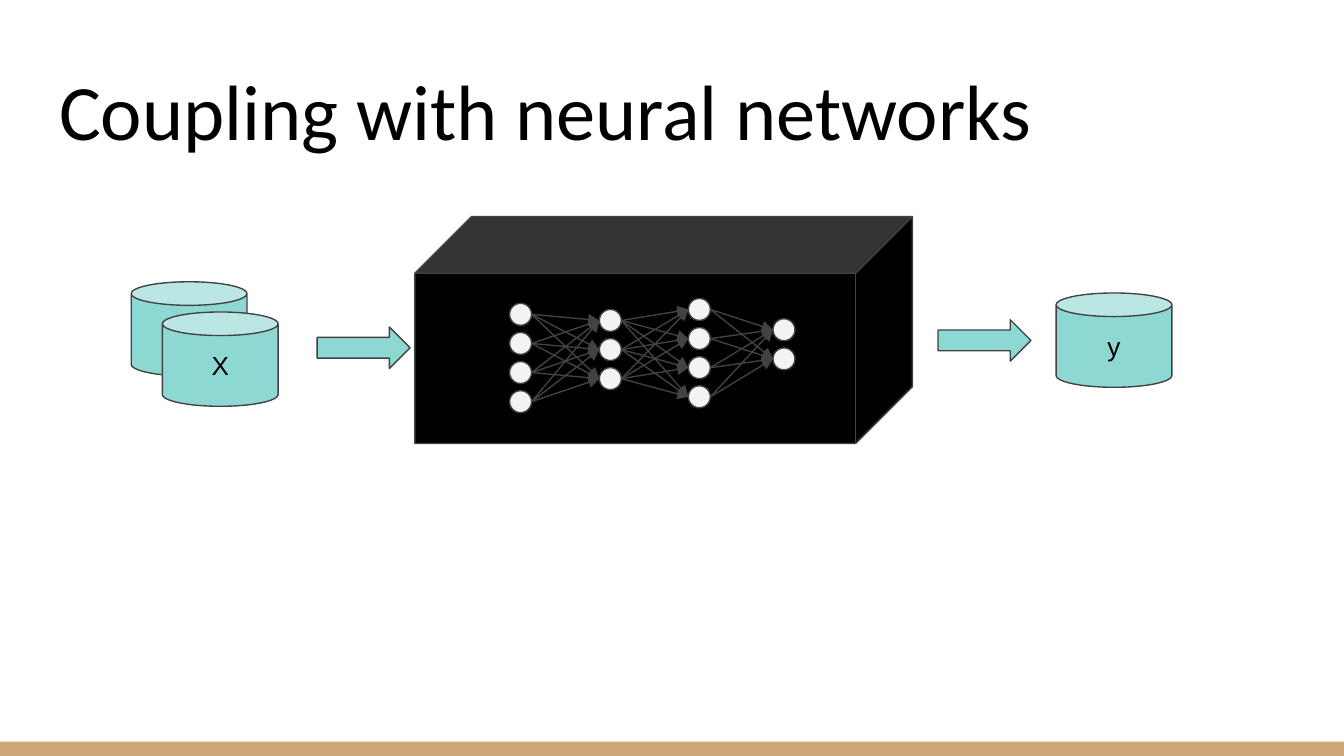
"""Build the slide on coupling with neural networks."""
from itertools import pairwise, product

from lxml.etree import SubElement
from pptx import Presentation
from pptx.dml.color import RGBColor
from pptx.enum.shapes import MSO_CONNECTOR as Connector, MSO_SHAPE as Shape
from pptx.enum.text import MSO_ANCHOR as Anchor, MSO_AUTO_SIZE as AutoSize, PP_ALIGN as Align
from pptx.oxml.ns import qn
from pptx.util import Pt

NODE_SIZE = 11.8
NODE_PITCH = 15.6
LAYERS = [(278.9, 168.4, 4), (327, 171.7, 3), (374.7, 165.8, 4), (420, 176.7, 2)]


def color(hex_string):
    return RGBColor.from_string(hex_string)


class SlideBuilder:
    black = "000000"
    outline = "424242"
    teal = "8DD8D3"
    node_fill = "F3F3F3"
    sand = "CCA677"
    line_width = 0.75
    inset = 7.2

    def __init__(self, slide):
        self.slide = slide

    def add_text(self, shape, text, size, font, align, anchor):
        frame = shape.text_frame
        frame.word_wrap = True
        frame.auto_size = AutoSize.NONE
        frame.vertical_anchor = anchor
        frame.margin_left = frame.margin_right = Pt(self.inset)
        frame.margin_top = frame.margin_bottom = Pt(self.inset)
        paragraph = frame.paragraphs[0]
        paragraph.alignment = align
        run = paragraph.add_run()
        run.text = text
        run.font.size = Pt(size)
        run.font.name = font
        run.font.color.rgb = color(self.black)

    def title(self, text, left, top, width, height):
        shape = self.slide.shapes.title
        shape.left, shape.top = Pt(left), Pt(top)
        shape.width, shape.height = Pt(width), Pt(height)
        self.add_text(shape, text, 42, "Calibri", Align.LEFT, Anchor.BOTTOM)

    def shape(self, kind, left, top, width, height, fill, outlined=True, parent=None):
        shapes = (parent or self.slide).shapes
        shape = shapes.add_shape(kind, Pt(left), Pt(top), Pt(width), Pt(height))
        shape.shadow.inherit = False
        shape.fill.solid()
        shape.fill.fore_color.rgb = color(fill)
        if outlined:
            shape.line.color.rgb = color(self.outline)
            shape.line.width = Pt(self.line_width)
        else:
            shape.line.fill.background()
        return shape

    def data_can(self, left, top, label=None):
        can = self.shape(Shape.CAN, left, top, 62, 50.5, self.teal)
        if label:
            self.add_text(can, label, 14, "Arial", Align.CENTER, Anchor.MIDDLE)

    def flow_arrow(self, left, top):
        self.shape(Shape.RIGHT_ARROW, left, top, 49.8, 22.2, self.teal)

    def edge(self, parent, start, end):
        radius = NODE_SIZE / 2
        connector = parent.shapes.add_connector(
            Connector.STRAIGHT,
            Pt(start[0] + radius), Pt(start[1]), Pt(end[0] - radius), Pt(end[1]),
        )
        connector.line.color.rgb = color(self.outline)
        connector.line.width = Pt(self.line_width)
        properties = connector.element.spPr
        SubElement(properties.find(qn("a:ln")), qn("a:tailEnd"), type="triangle")
        SubElement(properties, qn("a:effectLst"))

    def network(self, layers):
        group = self.slide.shapes.add_group_shape()
        centers = [
            [(x, first_y + row * NODE_PITCH) for row in range(count)]
            for x, first_y, count in layers
        ]
        for layer in centers:
            for x, y in layer:
                self.shape(Shape.OVAL, x - NODE_SIZE / 2, y - NODE_SIZE / 2,
                           NODE_SIZE, NODE_SIZE, self.node_fill, parent=group)
        for sources, targets in pairwise(centers):
            for target, source in product(targets, sources):
                self.edge(group, source, target)


def main():
    presentation = Presentation()
    presentation.slide_width, presentation.slide_height = Pt(720), Pt(405)
    builder = SlideBuilder(presentation.slides.add_slide(presentation.slide_layouts[5]))
    builder.shape(Shape.RECTANGLE, 0, 397.4, 720, 7.6, builder.sand, outlined=False)
    builder.title("Coupling with neural networks", 24.5, 25.2, 671, 65.5)
    builder.data_can(70.3, 151)
    builder.data_can(87, 167.2, "X")
    builder.data_can(565.8, 157, "y")
    builder.shape(Shape.CUBE, 222.3, 116, 266.5, 121.6, builder.black)
    builder.network(LAYERS)
    builder.flow_arrow(169.9, 175.2)
    builder.flow_arrow(502.5, 171.3)
    presentation.save("out.pptx")


if __name__ == "__main__":
    main()
